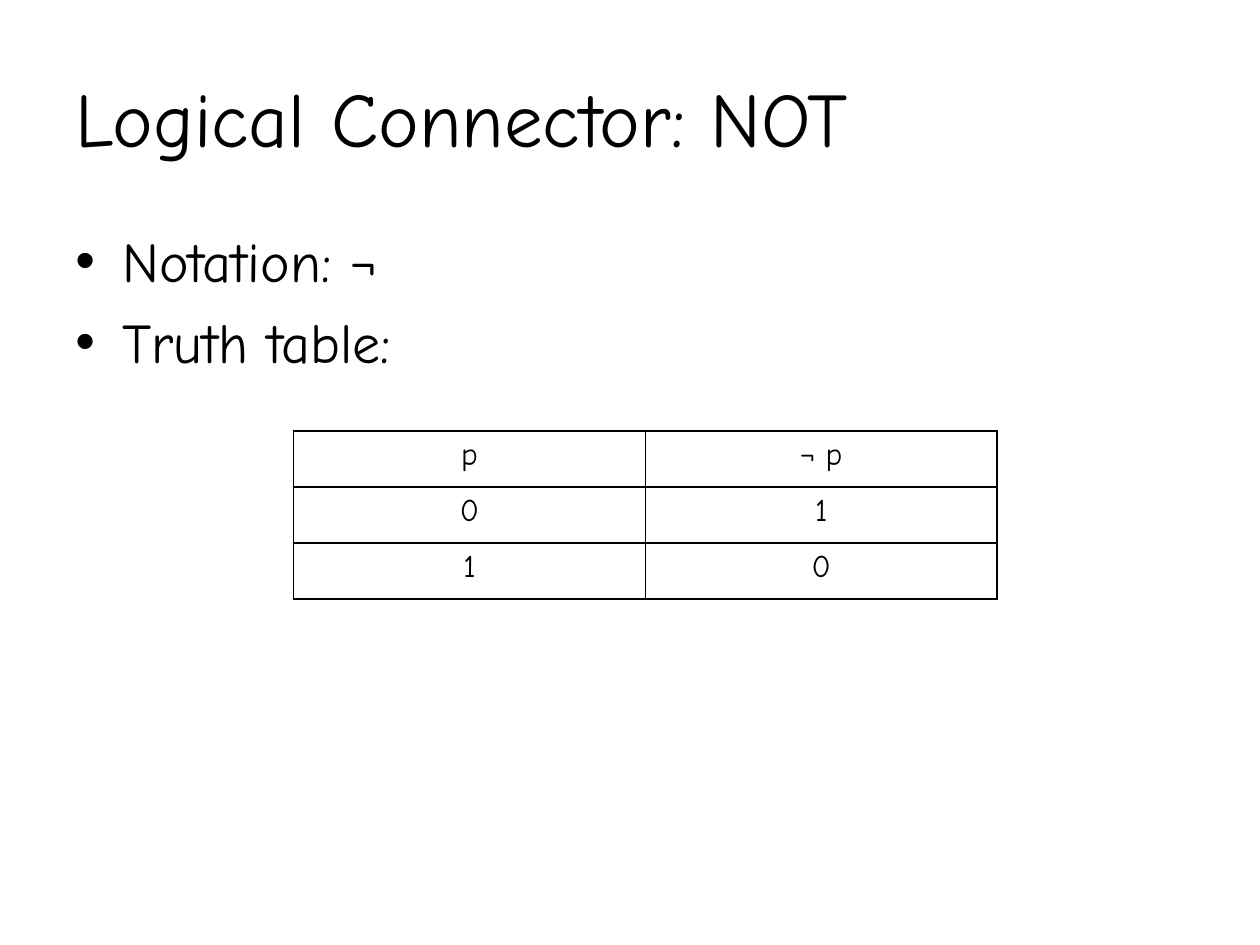
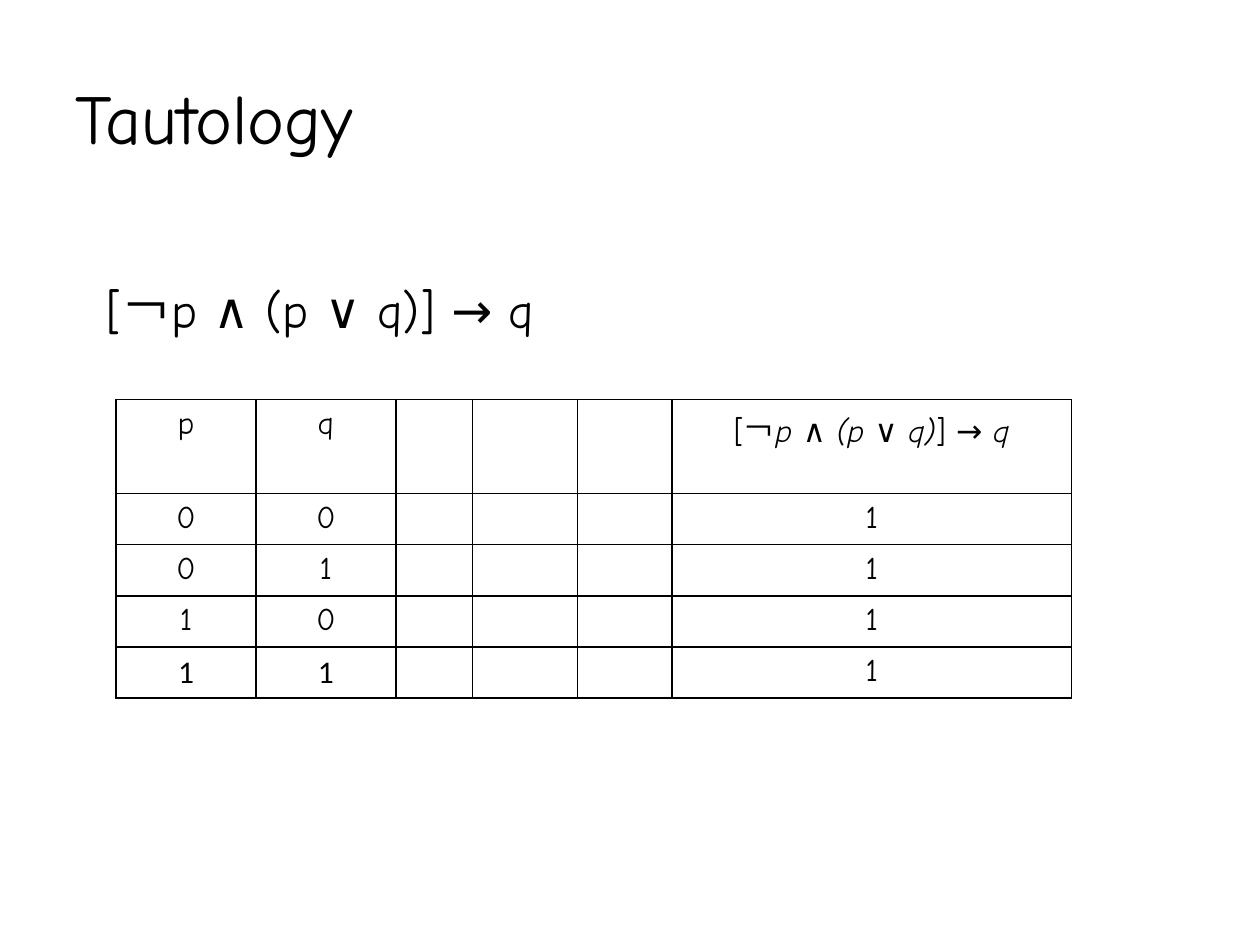
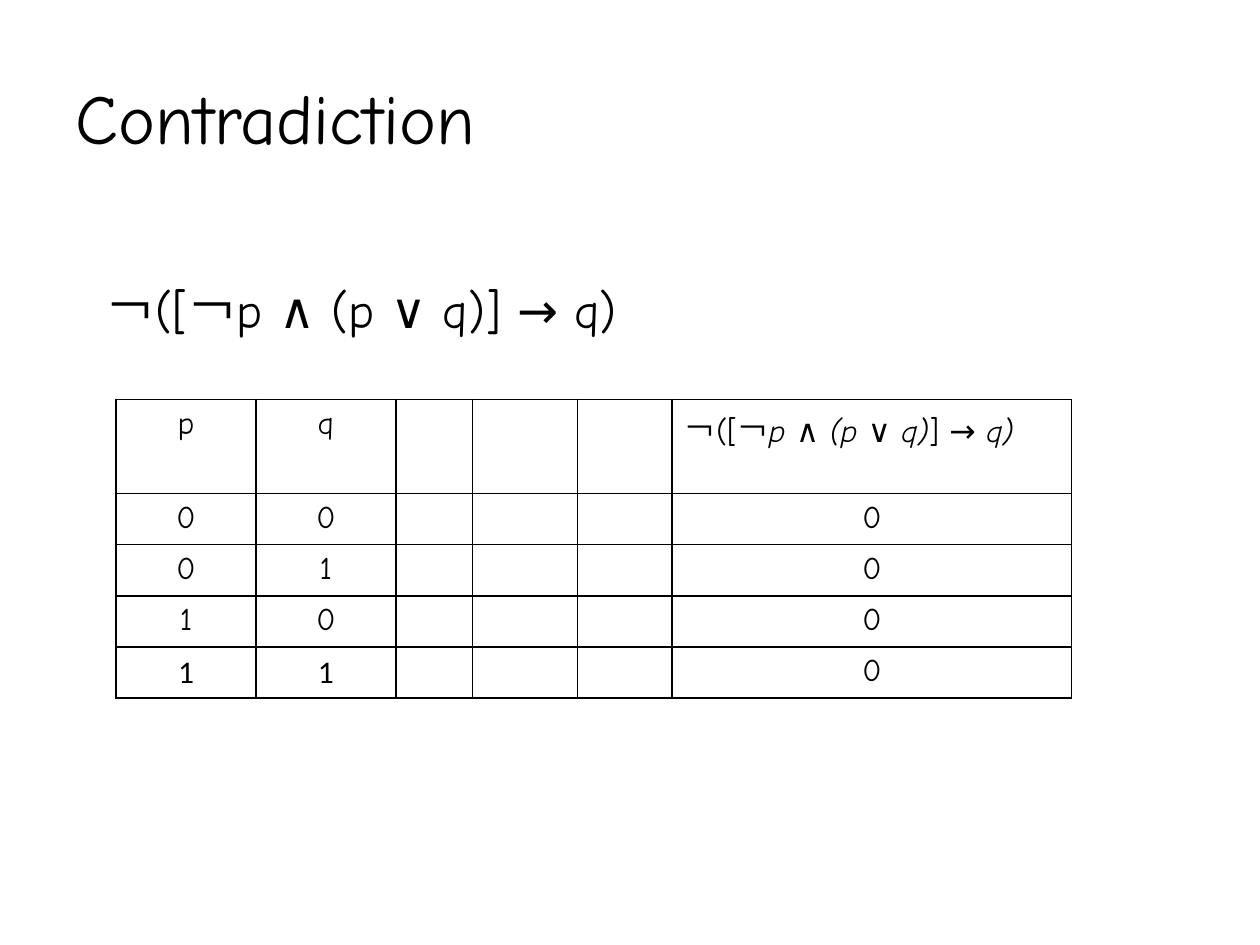
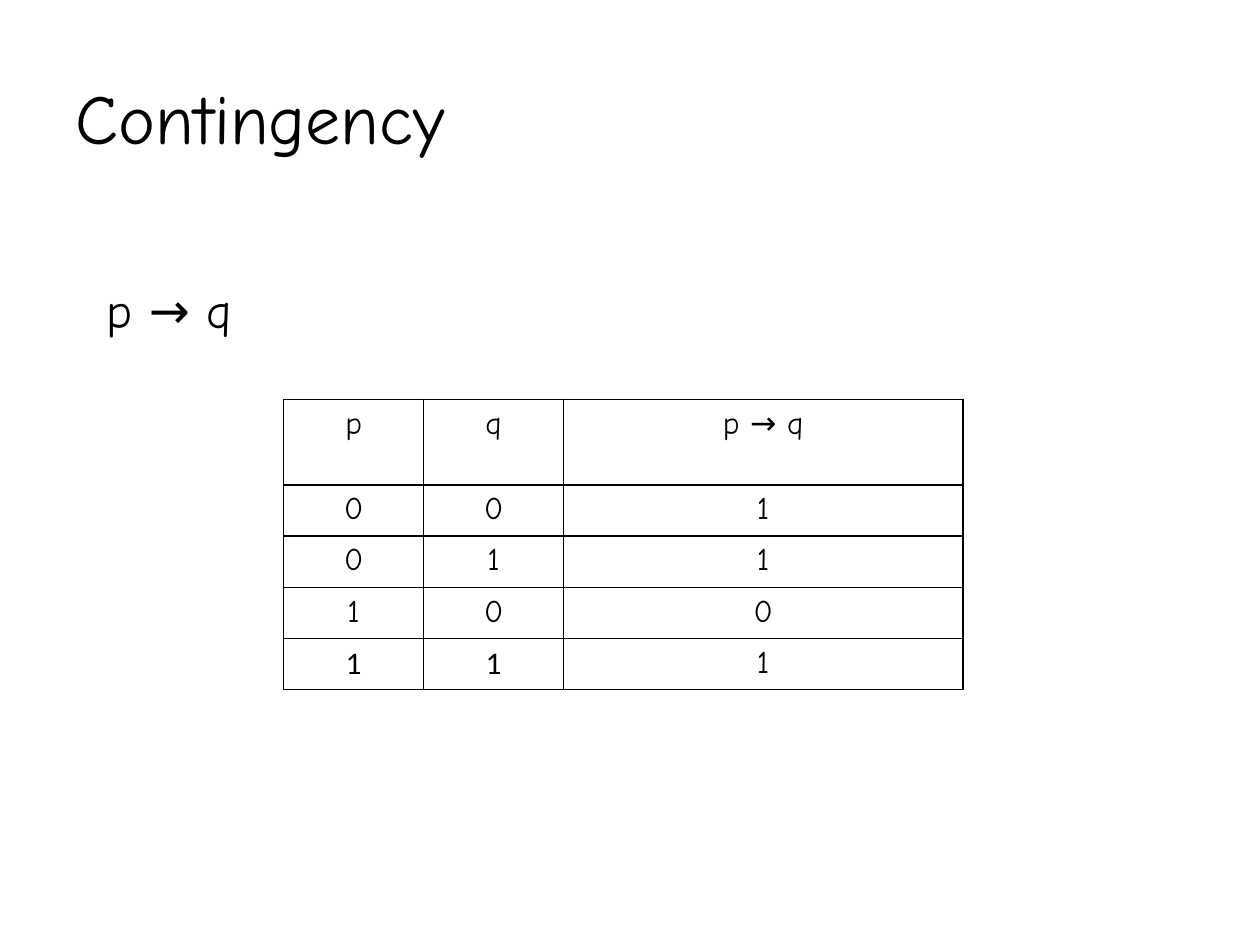
from itertools import product
from pptx import Presentation
from pptx.dml.color import RGBColor
from pptx.enum.text import MSO_ANCHOR, MSO_AUTO_SIZE, PP_ALIGN
from pptx.oxml import parse_xml
from pptx.oxml.ns import nsdecls
from pptx.util import Cm, Pt

COLORS = {"ink": "000000", "paper": "FFFFFF"}
FONT = "Comic Neue"
DIGIT_FONT = "Calibri"


def add_run(paragraph, text, size, font=FONT, italic=None):
    run = paragraph.add_run()
    run.text = text
    run.font.name = font
    run.font.size = Pt(size)
    run.font.italic = italic
    run.font.color.rgb = RGBColor.from_string(COLORS["ink"])


def set_borders(cell):
    properties = cell._tc.get_or_add_tcPr()
    for position, side in enumerate(("lnL", "lnR", "lnT", "lnB")):
        properties.insert(position, parse_xml(
            f'<a:{side} {nsdecls("a")} w="12700"><a:solidFill>'
            f'<a:srgbClr val="{COLORS["ink"]}"/></a:solidFill></a:{side}>'))


tautology = ["[\uffe2", "p ", "∧ ", "(p ", "∨ ", "q)", "] → ", "q"]
contradiction = ["\uffe2([\uffe2"] + tautology[1:-1] + ["q)"]
contingency = ["p → q"]
pairs = list(product("01", repeat=2))
narrow, wide = 2.82, 8.05
six_columns = [narrow, narrow, 1.55, 2.11, 1.91, wide]

pages = [
    dict(title="Logical Connector: NOT", title_size=44, formula=None,
         left=5.92, top=8.69, columns=[7.09, 7.09], heights=[1.13] * 3,
         rows=[["p", "¬ p"], ["0", "1"], ["1", "0"]]),
]
for title, formula, results, left, columns, header_height in [
    ("Tautology", tautology, "1111", 2.34, six_columns, 1.9),
    ("Contradiction", contradiction, "0000", 2.34, six_columns, 1.9),
    ("Contingency", contingency, "1101", 5.72, [narrow, narrow, wide], 1.73),
]:
    gap = [""] * (len(columns) - 3)
    rows = [["p", "q", *gap, formula]]
    rows += [[*pair, *gap, result] for pair, result in zip(pairs, results)]
    pages.append(dict(title=title, title_size=40, formula=formula, left=left,
                      top=8.05, columns=columns,
                      heights=[header_height] + [1.03] * 4, rows=rows))

presentation = Presentation()
presentation.slide_width = Cm(25.4)
presentation.slide_height = Cm(19.05)

for page in pages:
    slide = presentation.slides.add_slide(presentation.slide_layouts[5])
    slide.background.fill.solid()
    slide.background.fill.fore_color.rgb = RGBColor.from_string(COLORS["paper"])

    title = slide.shapes.title
    title.left, title.top = Cm(1.27), Cm(0.76)
    title.width, title.height = Cm(22.86), Cm(3.18)
    title.text_frame.auto_size = MSO_AUTO_SIZE.NONE
    title.text_frame.vertical_anchor = MSO_ANCHOR.MIDDLE
    paragraph = title.text_frame.paragraphs[0]
    paragraph.alignment = PP_ALIGN.LEFT
    add_run(paragraph, page["title"], page["title_size"])

    if page["formula"]:
        box = slide.shapes.add_textbox(Cm(1.9), Cm(5.51), Cm(20.96), Cm(1.45))
        box.text_frame.word_wrap = True
        box.text_frame.auto_size = MSO_AUTO_SIZE.SHAPE_TO_FIT_TEXT
        add_run(box.text_frame.paragraphs[0], "".join(page["formula"]), 28)
    else:
        box = slide.shapes.add_textbox(Cm(1.27), Cm(4.45), Cm(22.86), Cm(12.57))
        frame = box.text_frame
        frame.word_wrap = True
        for number, text in enumerate(["Notation: ¬", "Truth table:"]):
            paragraph = frame.add_paragraph() if number else frame.paragraphs[0]
            paragraph.space_before = Pt(7.5)
            properties = paragraph._p.get_or_add_pPr()
            properties.set("marL", str(Cm(0.95)))
            properties.set("indent", str(-Cm(0.95)))
            properties.append(parse_xml(f'<a:buFont {nsdecls("a")} typeface="Arial"/>'))
            properties.append(parse_xml(f'<a:buChar {nsdecls("a")} char="•"/>'))
            add_run(paragraph, text, 32)

    columns, heights = page["columns"], page["heights"]
    table = slide.shapes.add_table(
        len(heights), len(columns), Cm(page["left"]), Cm(page["top"]),
        Cm(sum(columns)), Cm(sum(heights))).table
    table.first_row = False
    table.horz_banding = False
    for column, width in zip(table.columns, columns):
        column.width = Cm(width)
    for row, height in zip(table.rows, heights):
        row.height = Cm(height)

    for row_index, row in enumerate(page["rows"]):
        for column_index, content in enumerate(row):
            cell = table.cell(row_index, column_index)
            cell.fill.background()
            set_borders(cell)
            if not content:
                continue
            paragraph = cell.text_frame.paragraphs[0]
            left_aligned = content is contradiction
            paragraph.alignment = PP_ALIGN.LEFT if left_aligned else PP_ALIGN.CENTER
            font = DIGIT_FONT if row_index == 4 and column_index < 2 else FONT
            for number, piece in enumerate(content):
                add_run(paragraph, piece, 18, font, number % 2 == 1) if isinstance(
                    content, list) else None
            if isinstance(content, str):
                add_run(paragraph, content, 18, font)

presentation.save("out.pptx")
